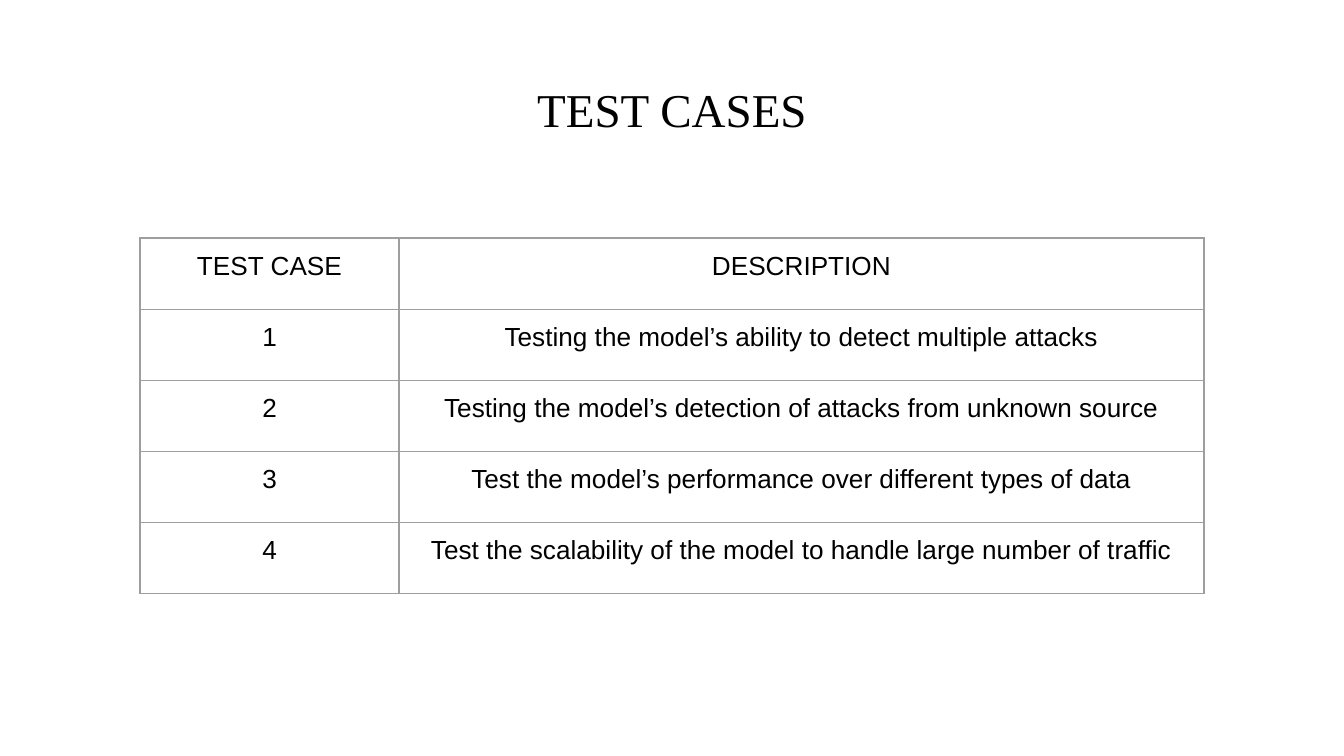
from lxml.etree import SubElement
from pptx import Presentation
from pptx.dml.color import RGBColor as Color
from pptx.enum.text import MSO_ANCHOR as Anchor, PP_ALIGN as Align
from pptx.oxml.ns import qn
from pptx.util import Pt

TITLE = "TEST CASES"
HEADER = ("TEST CASE", "DESCRIPTION")
DESCRIPTIONS = [
    "Testing the model’s ability to detect multiple attacks",
    "Testing the model’s detection of attacks from unknown source",
    "Test the model’s performance over different types of data",
    "Test the scalability of the model to handle large number of traffic",
]
COLORS = {"text": "000000", "border": "9E9E9E", "background": "FFFFFF"}
COLUMN_WIDTHS = (138.8, 431.2)
ROW_HEIGHT = 38.1
TABLE_LEFT, TABLE_TOP = 75, 127.5
INSET = 7.2


def write(frame, text, font, size):
    para = frame.paragraphs[0]
    para.alignment = Align.CENTER
    span = para.add_run()
    span.text = text
    span.font.name = font
    span.font.size = Pt(size)
    span.font.bold = False
    span.font.color.rgb = Color.from_string(COLORS["text"])


def set_insets(target):
    target.margin_left = target.margin_right = Pt(INSET)
    target.margin_top = target.margin_bottom = Pt(INSET)


def add_borders(cell):
    properties = cell._tc.get_or_add_tcPr()
    for position, side in enumerate(("lnL", "lnR", "lnT", "lnB")):
        line = properties.makeelement(qn(f"a:{side}"), {"w": str(Pt(0.75))})
        fill = SubElement(line, qn("a:solidFill"))
        SubElement(fill, qn("a:srgbClr"), val=COLORS["border"])
        properties.insert(position, line)


def add_title(page):
    title = page.shapes.title
    title.left, title.top = Pt(24.5), Pt(35)
    title.width, title.height = Pt(671), Pt(45.5)
    frame = title.text_frame
    frame.word_wrap = True
    frame.vertical_anchor = Anchor.BOTTOM
    set_insets(frame)
    write(frame, TITLE, "Times New Roman", 25.2)


def add_cases(page):
    rows = [HEADER] + [(str(number), text) for number, text in enumerate(DESCRIPTIONS, 1)]
    table = page.shapes.add_table(
        len(rows), len(HEADER), Pt(TABLE_LEFT), Pt(TABLE_TOP),
        Pt(sum(COLUMN_WIDTHS)), Pt(ROW_HEIGHT * len(rows)),
    ).table
    table.first_row = table.horz_banding = False
    for column, width in zip(table.columns, COLUMN_WIDTHS):
        column.width = Pt(width)
    for row, texts in zip(table.rows, rows):
        row.height = Pt(ROW_HEIGHT)
        for cell, text in zip(row.cells, texts):
            cell.fill.background()
            cell.vertical_anchor = Anchor.TOP
            set_insets(cell)
            add_borders(cell)
            write(cell.text_frame, text, "Arial", 14)


def main():
    deck = Presentation()
    deck.slide_width, deck.slide_height = Pt(720), Pt(405)
    page = deck.slides.add_slide(deck.slide_layouts[5])
    background = page.background.fill
    background.solid()
    background.fore_color.rgb = Color.from_string(COLORS["background"])
    add_title(page)
    add_cases(page)
    deck.save("out.pptx")


if __name__ == "__main__":
    main()
